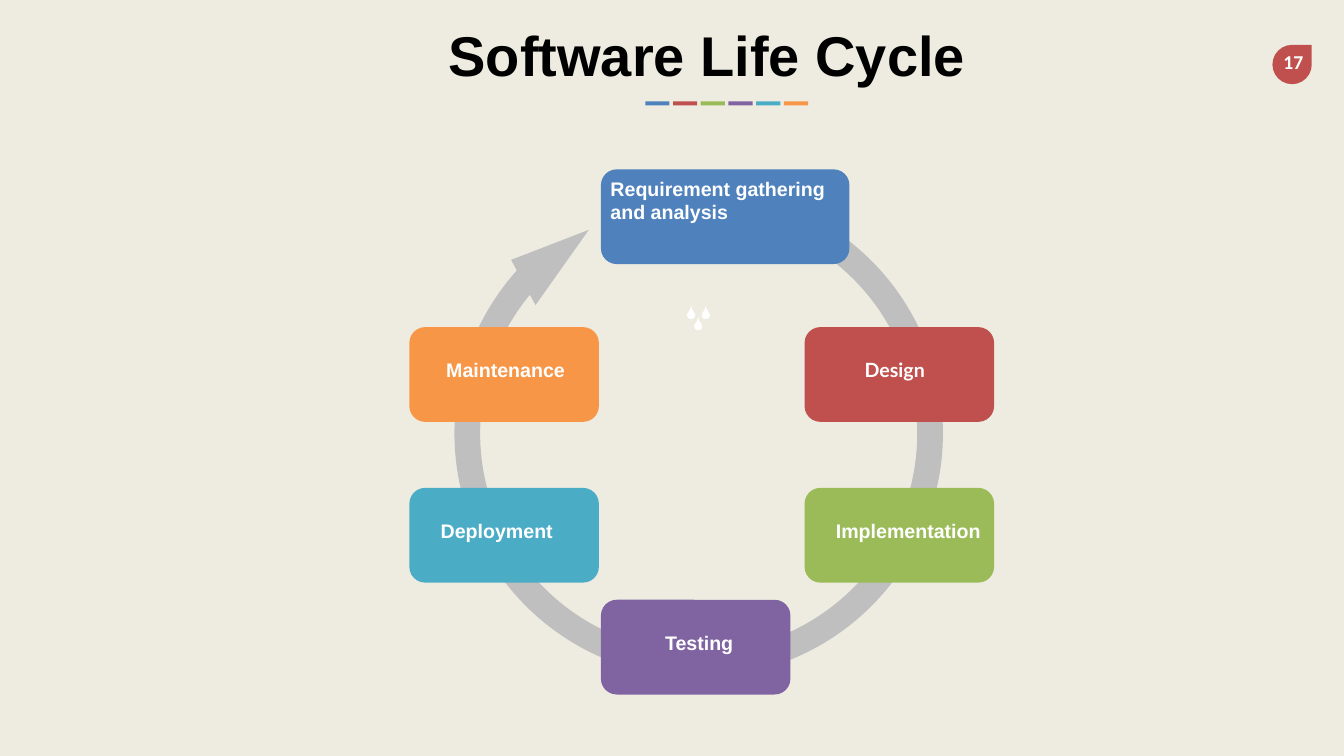
from pptx import Presentation
from pptx.dml.color import RGBColor
from pptx.enum import shapes, text
from pptx.util import Inches, Pt

COLORS = {
    "background": "EEECE1",
    "blue": "4F81BD",
    "red": "C0504D",
    "green": "9BBB59",
    "purple": "8064A2",
    "teal": "4BACC6",
    "orange": "F79646",
    "gray": "BFBFBF",
    "white": "FFFFFF",
    "black": "000000",
}
ACCENTS = ["blue", "red", "green", "purple", "teal", "orange"]

STAGE_W, STAGE_H = 3.76, 1.88
LEFT_X, MIDDLE_X, RIGHT_X = 8.12, 11.92, 15.96
UPPER_Y, LOWER_Y = 6.49, 9.68
LABEL_TOP = 0.52

STAGES = [
    ("Testing", "purple", MIDDLE_X, 11.9, 1.18, "Arial"),
    ("Maintenance", "orange", LEFT_X, UPPER_Y, 0.64, "Arial"),
    ("Design", "red", RIGHT_X, UPPER_Y, 1.1, "Lato"),
    ("Deployment", "teal", LEFT_X, LOWER_Y, 0.53, "Arial"),
    ("Implementation", "green", RIGHT_X, LOWER_Y, 0.53, "Arial"),
]


def rgb(name):
    return RGBColor.from_string(COLORS[name])


def paint(sp, color):
    sp.shadow.inherit = False
    sp.fill.solid()
    sp.fill.fore_color.rgb = rgb(color)
    sp.line.fill.background()


def add_block(s, kind, x, y, w, h, color):
    sp = s.shapes.add_shape(kind, Inches(x), Inches(y), Inches(w), Inches(h))
    paint(sp, color)
    return sp


def write(sp, words, size, font, color, align=text.PP_ALIGN.LEFT):
    tf = sp.text_frame
    tf.text = words
    tf.word_wrap = True
    tf.auto_size = text.MSO_AUTO_SIZE.NONE
    tf.vertical_anchor = text.MSO_ANCHOR.TOP
    p = tf.paragraphs[0]
    p.alignment = align
    r = p.runs[0]
    r.font.size = Pt(size)
    r.font.name = font
    r.font.bold = True
    r.font.color.rgb = rgb(color)


def add_title(s, words):
    sp = s.shapes.title
    sp.left, sp.top = Inches(8.8), Inches(0.35)
    sp.width, sp.height = Inches(10.55), Inches(1.45)
    write(sp, words, 80, "Arial", "black")


def add_title_bars(s):
    for i, color in enumerate(ACCENTS):
        add_block(s, shapes.MSO_SHAPE.RECTANGLE, 12.8 + 0.55 * i, 2.01, 0.48, 0.08, color)


def add_page_number(s, number):
    add_block(s, shapes.MSO_SHAPE.TEAR, 25.24, 0.89, 0.78, 0.78, "red")
    sp = s.shapes.add_textbox(Inches(25.22), Inches(0.9), Inches(0.87), Inches(0.67))
    write(sp, number, 28, "Calibri", "white", text.PP_ALIGN.CENTER)
    sp.text_frame.margin_top = sp.text_frame.margin_bottom = Inches(0.1)


def add_cycle_arrow(s):
    sp = add_block(s, shapes.MSO_SHAPE.CIRCULAR_ARROW, 8.76, 3.5, 10.2, 10.2, "gray")
    sp.rotation = 6.7
    for i, value in enumerate([0.05, 12.57, 128.41, 176.29, 0.05]):
        sp.adjustments[i] = value


def add_stage(s, words, color, x, y, indent=0.1, font="Arial", w=STAGE_W, top=LABEL_TOP):
    sp = add_block(s, shapes.MSO_SHAPE.ROUNDED_RECTANGLE, x, y, w, STAGE_H, color)
    write(sp, words, 28, font, "white")
    sp.text_frame.margin_left = Inches(indent)
    sp.text_frame.margin_top = Inches(top)


def bezier(a, b, c, d, steps=8):
    return [
        tuple(
            (1 - t) ** 3 * a[k] + 3 * (1 - t) ** 2 * t * b[k] + 3 * (1 - t) * t**2 * c[k] + t**3 * d[k]
            for k in (0, 1)
        )
        for t in (i / steps for i in range(steps + 1))
    ]


def drop_outline(x, y):
    side = bezier((0, 0), (0.01, 0.11), (0.08, 0.13), (0.08, 0.2))
    side += bezier((0.08, 0.2), (0.08, 0.24), (0.04, 0.27), (0, 0.27))[1:]
    mirrored = [(-dx, dy) for dx, dy in reversed(side[:-1])]
    return [(Inches(x + dx), Inches(y + dy)) for dx, dy in side + mirrored]


def add_drops(s):
    drops = [drop_outline(x, y) for x, y in [(13.71, 6.06), (14, 6.06), (13.85, 6.28)]]
    builder = s.shapes.build_freeform(*drops[0][0])
    for i, points in enumerate(drops):
        if i:
            builder.move_to(*points[0])
        builder.add_line_segments(points[1:], close=True)
    paint(builder.convert_to_shape(), "white")


def main():
    prs = Presentation()
    prs.slide_width, prs.slide_height = Inches(26.66), Inches(15)
    s = prs.slides.add_slide(prs.slide_layouts[5])
    s.background.fill.solid()
    s.background.fill.fore_color.rgb = rgb("background")

    add_page_number(s, "17")
    add_cycle_arrow(s)
    for stage in STAGES:
        add_stage(s, *stage)
    add_stage(s, "Requirement gathering and analysis", "blue", MIDDLE_X, 3.36, w=4.93, top=0.05)
    add_drops(s)
    add_title(s, "Software Life Cycle")
    add_title_bars(s)
    prs.save("out.pptx")


if __name__ == "__main__":
    main()
